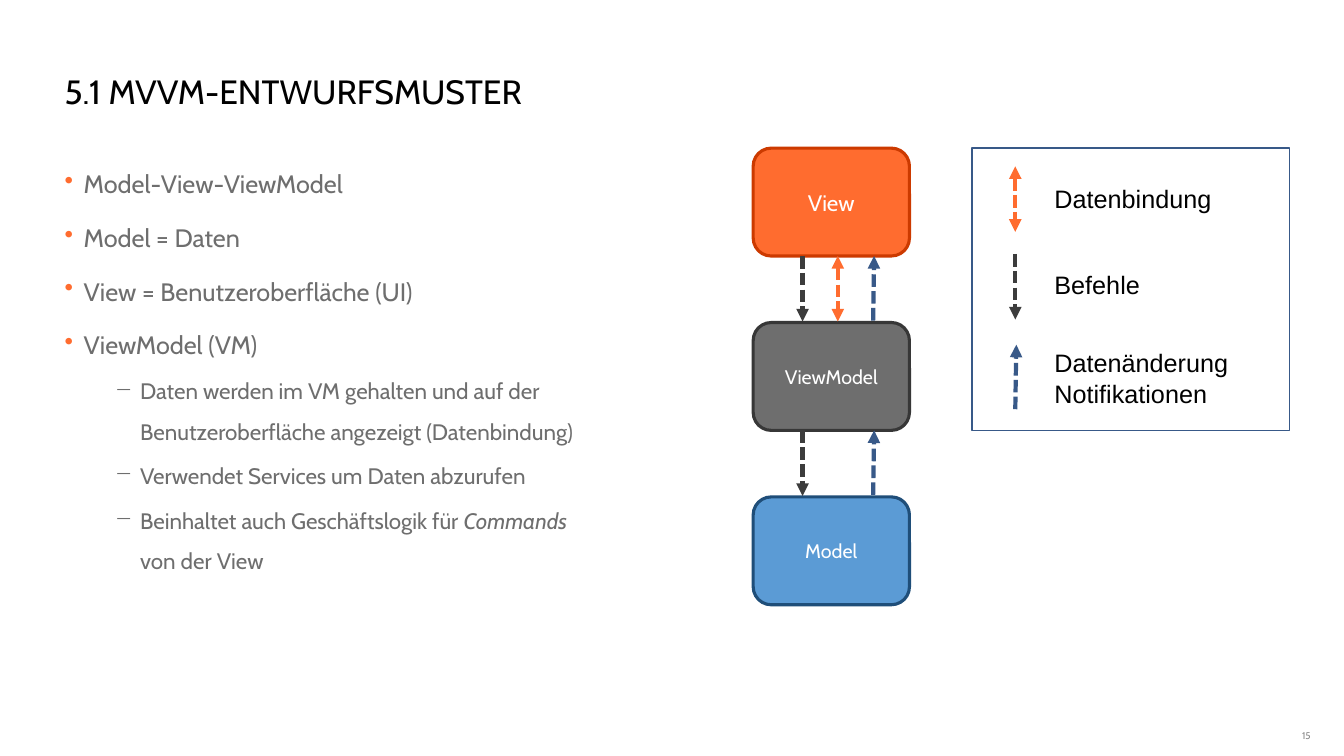
from lxml import etree
from pptx import Presentation, util as u
from pptx.dml.color import RGBColor
from pptx.enum import dml, shapes, text
from pptx.oxml import ns

PX = 9144  # EMU per px, 100 px to the inch

BLACK = RGBColor(0x00, 0x00, 0x00)
WHITE = RGBColor(0xFF, 0xFF, 0xFF)
GREY = RGBColor(0x6E, 0x6E, 0x6E)
PALE_GREY = RGBColor(0x8C, 0x8C, 0x8C)
DARK_GREY = RGBColor(0x37, 0x37, 0x37)
CHARCOAL = RGBColor(0x3C, 0x3C, 0x3C)
ORANGE = RGBColor(0xFF, 0x6C, 0x2F)
DARK_ORANGE = RGBColor(0xCC, 0x3A, 0x00)
BLUE = RGBColor(0x5B, 0x9B, 0xD5)
DARK_BLUE = RGBColor(0x1F, 0x4E, 0x79)
NAVY = RGBColor(0x38, 0x59, 0x88)

# Diagram measures in px
LAYER_LEFT, LAYER_TOP, LAYER_WIDTH, LAYER_HEIGHT, LAYER_STEP = 747, 147, 155, 107, 173
ARROW_LENGTH = 65

LAYERS = [
    ("View", 16, ORANGE, DARK_ORANGE),
    ("ViewModel", 14, GREY, DARK_GREY),
    ("Model", 14, BLUE, DARK_BLUE),
]

# Level and lines; each line is a list of (words, italic)
BULLETS = [
    (0, [[("Model-View-ViewModel", False)]]),
    (0, [[("Model = Daten", False)]]),
    (0, [[("View = Benutzeroberfläche (UI)", False)]]),
    (0, [[("ViewModel (VM)", False)]]),
    (1, [[("Daten werden im VM gehalten und auf der", False)],
         [("Benutzeroberfläche angezeigt (Datenbindung)", False)]]),
    (1, [[("Verwendet Services um Daten abzurufen", False)]]),
    (1, [[("Beinhaltet auch Geschäftslogik für ", False), ("Commands", True)],
         [("von der View", False)]]),
]
# Per level: size, space before, left indent, hanging indent, bullet sign
LEVELS = [(18, 6, 19, 19, "•"), (16, 3, 75, 25, "−")]


def px(*lengths):
    return [u.Emu(length * PX) for length in lengths]


def set_all(target, **values):
    for name, value in values.items():
        setattr(target, name, value)


def add_span(para, words, size, colour, font="Cabin", italic=False):
    span = para.add_run()
    span.text = words
    set_all(span.font, name=font, size=u.Pt(size), italic=italic)
    span.font.color.rgb = colour


def add_box(page, place, margins=(10, 5, 10, 5), wrap=True, anchor=text.MSO_ANCHOR.TOP):
    frame = page.shapes.add_textbox(*px(*place)).text_frame
    left, top, right, bottom = px(*margins)
    set_all(frame, margin_left=left, margin_top=top, margin_right=right,
            margin_bottom=bottom, word_wrap=wrap, vertical_anchor=anchor)
    return frame


def add_bullet(para, level, lines):
    size, before, left, hanging, sign = LEVELS[level]
    set_all(para, level=level, line_spacing=1.5, space_before=u.Pt(before))
    props = para._p.get_or_add_pPr()
    props.set("marL", str(left * PX))
    props.set("indent", str(-hanging * PX))
    if level == 0:
        colour = etree.SubElement(props, ns.qn("a:buClr"))
        etree.SubElement(colour, ns.qn("a:srgbClr")).set("val", str(ORANGE))
    etree.SubElement(props, ns.qn("a:buChar")).set("char", sign)
    for index, line in enumerate(lines):
        if index:
            para.add_line_break()
        for words, italic in line:
            add_span(para, words, size, GREY, italic=italic)


def add_panel(page, kind, place, outline, width, fill=None):
    panel = page.shapes.add_shape(kind, *px(*place))
    panel.shadow.inherit = False
    if fill is None:
        panel.fill.background()
    else:
        panel.fill.solid()
        panel.fill.fore_color.rgb = fill
    panel.line.color.rgb = outline
    panel.line.width = u.Pt(width)
    return panel


def add_layer(page, index, name, size, fill, outline):
    place = (LAYER_LEFT, LAYER_TOP + index * LAYER_STEP, LAYER_WIDTH, LAYER_HEIGHT)
    layer = add_panel(page, shapes.MSO_SHAPE.ROUNDED_RECTANGLE, place, outline, 2.25, fill)
    layer.text_frame.vertical_anchor = text.MSO_ANCHOR.MIDDLE
    para = layer.text_frame.paragraphs[0]
    para.alignment = text.PP_ALIGN.CENTER
    add_span(para, name, size, WHITE)


def add_arrow(page, start, end, colour, both=False):
    arrow = page.shapes.add_connector(shapes.MSO_CONNECTOR.STRAIGHT, *px(*start, *end))
    arrow.line.color.rgb = colour
    set_all(arrow.line, width=u.Pt(3), dash_style=dml.MSO_LINE.SQUARE_DOT)
    line_xml = arrow.line._get_or_add_ln()
    for tip in ("a:headEnd", "a:tailEnd") if both else ("a:tailEnd",):
        etree.SubElement(line_xml, ns.qn(tip)).set("type", "triangle")
    etree.SubElement(arrow._element.spPr, ns.qn("a:effectLst"))


def add_binding(page, x, top):
    add_arrow(page, (x, top), (x, top + ARROW_LENGTH), ORANGE, both=True)


def add_command(page, x, top):
    add_arrow(page, (x, top), (x, top + ARROW_LENGTH), CHARCOAL)


def add_notification(page, x, top):
    add_arrow(page, (x, top + ARROW_LENGTH - 1), (x + 1, top), NAVY)


def add_legend_entry(page, add_symbol, arrow_top, place, lines):
    add_symbol(page, 1007, arrow_top)
    frame = add_box(page, place, wrap=False)
    for index, line in enumerate(lines):
        para = frame.add_paragraph() if index else frame.paragraphs[0]
        add_span(para, line, 18, BLACK, font="Arial")


def main():
    deck = Presentation()
    deck.slide_width, deck.slide_height = px(1333, 750)
    page = deck.slides.add_slide(deck.slide_layouts[6])

    # Title
    title = add_box(page, (64, 25, 1199, 90), (0, 5, 10, 5), anchor=text.MSO_ANCHOR.BOTTOM)
    title.paragraphs[0].line_spacing = 1.5
    add_span(title.paragraphs[0], "5.1 MVVM-ENTWURFSMUSTER", 24, BLACK)

    # Bullet list
    body = add_box(page, (64, 147, 1199, 518), (0, 5, 10, 5))
    for index, (level, lines) in enumerate(BULLETS):
        para = body.add_paragraph() if index else body.paragraphs[0]
        add_bullet(para, level, lines)

    # Page number
    number = add_box(page, (1269, 722, 31, 16), (0, 0, 0, 0), anchor=text.MSO_ANCHOR.MIDDLE)
    number.paragraphs[0].alignment = text.PP_ALIGN.RIGHT
    add_span(number.paragraphs[0], "15", 7, PALE_GREY)

    # Layers and the arrows in the gaps between them
    for index, layer in enumerate(LAYERS):
        add_layer(page, index, *layer)
    first_gap = LAYER_TOP + LAYER_HEIGHT
    for gap_top in (first_gap, first_gap + LAYER_STEP):
        add_command(page, 796, gap_top)
        add_notification(page, 866, gap_top)
    add_binding(page, 831, first_gap)

    # Legend
    add_panel(page, shapes.MSO_SHAPE.RECTANGLE, (964, 147, 315, 280), NAVY, 1)
    add_legend_entry(page, add_binding, 165, (1036, 177, 177, 40), ["Datenbindung"])
    add_legend_entry(page, add_command, 252, (1036, 262, 106, 40), ["Befehle"])
    add_legend_entry(page, add_notification, 342, (1036, 340, 194, 71),
                     ["Datenänderung", "Notifikationen"])

    deck.save("out.pptx")


if __name__ == "__main__":
    main()
